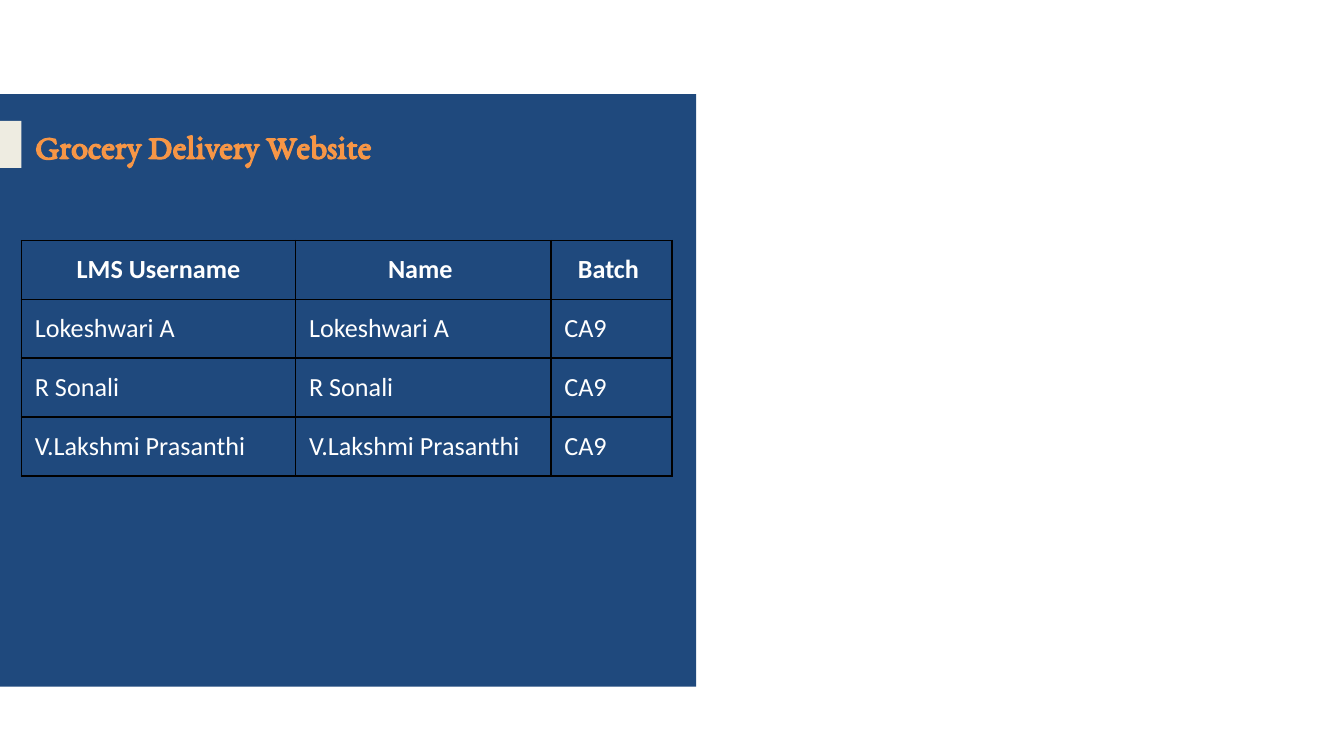
import pptx
import pptx.util
import pptx.dml.color
import pptx.enum.shapes
import pptx.enum.text
import pptx.oxml
import pptx.oxml.ns

Inches = pptx.util.Inches
Pt = pptx.util.Pt
RGBColor = pptx.dml.color.RGBColor
PP_ALIGN = pptx.enum.text.PP_ALIGN

NAVY = RGBColor(0x1F, 0x49, 0x7D)
CREAM = RGBColor(0xEE, 0xEC, 0xE1)
ORANGE = RGBColor(0xF7, 0x96, 0x46)
WHITE = RGBColor(0xFF, 0xFF, 0xFF)
BLACK = RGBColor(0x00, 0x00, 0x00)

prs = pptx.Presentation()
prs.slide_width = Inches(10)
prs.slide_height = prs.slide_width * 9 // 16
s = prs.slides.add_slide(prs.slide_layouts[5])
title = s.shapes.title

for left, top, width, height, color in [
    (0, 0.7, 5.18, 4.41, NAVY),
    (0, 0.9, 0.16, 0.35, CREAM),
]:
    sp = s.shapes.add_shape(
        pptx.enum.shapes.MSO_SHAPE.RECTANGLE,
        Inches(left), Inches(top), Inches(width), Inches(height),
    )
    sp.shadow.inherit = False
    sp.fill.solid()
    sp.fill.fore_color.rgb = color
    sp.line.fill.background()
    title.element.addprevious(sp.element)

title.left, title.top = Inches(0.16), Inches(0.89)
title.width, title.height = Inches(3.74), Inches(0.38)
tf = title.text_frame
tf.text = "Grocery Delivery Website"
tf.word_wrap = True
tf.auto_size = pptx.enum.text.MSO_AUTO_SIZE.NONE
tf.vertical_anchor = pptx.enum.text.MSO_ANCHOR.MIDDLE
tf.margin_left = tf.margin_right = Inches(0.1)
tf.margin_top = tf.margin_bottom = Inches(0.05)
p = tf.paragraphs[0]
p.alignment = PP_ALIGN.LEFT
p.font.name = "EB Garamond"
p.font.size = Pt(18.3)
p.font.bold = True
p.font.color.rgb = ORANGE

rows = [
    ("LMS Username", "Name ", "Batch "),
    ("Lokeshwari A", "Lokeshwari A", "CA9"),
    ("R Sonali ", "R Sonali", "CA9"),
    ("V.Lakshmi Prasanthi", "V.Lakshmi Prasanthi", "CA9"),
]
col_widths = [2.04, 1.9, 0.9]
table_height = Inches(1.75)

table = s.shapes.add_table(
    len(rows), len(col_widths), Inches(0.16), Inches(1.79),
    Inches(sum(col_widths)), table_height,
).table
table.horz_banding = False
for column, width in zip(table.columns, col_widths):
    column.width = Inches(width)

for i, row in enumerate(rows):
    table.rows[i].height = table_height // len(rows)
    for j, text in enumerate(row):
        cell = table.cell(i, j)
        cell.text = text
        cell.margin_left = cell.margin_right = Inches(0.1)
        cell.margin_top = cell.margin_bottom = Inches(0.1)
        p = cell.text_frame.paragraphs[0]
        p.alignment = PP_ALIGN.CENTER if i == 0 else PP_ALIGN.LEFT
        p.font.name = "Calibri"
        p.font.size = Pt(14)
        p.font.bold = i == 0
        p.font.color.rgb = WHITE
        tcPr = cell._tc.get_or_add_tcPr()
        for side in ("lnL", "lnR", "lnT", "lnB"):
            tcPr.append(pptx.oxml.parse_xml(
                f'<a:{side} {pptx.oxml.ns.nsdecls("a")} w="{Pt(1)}">'
                f'<a:solidFill><a:srgbClr val="{BLACK}"/></a:solidFill></a:{side}>'
            ))
        cell.fill.background()

prs.save("out.pptx")
